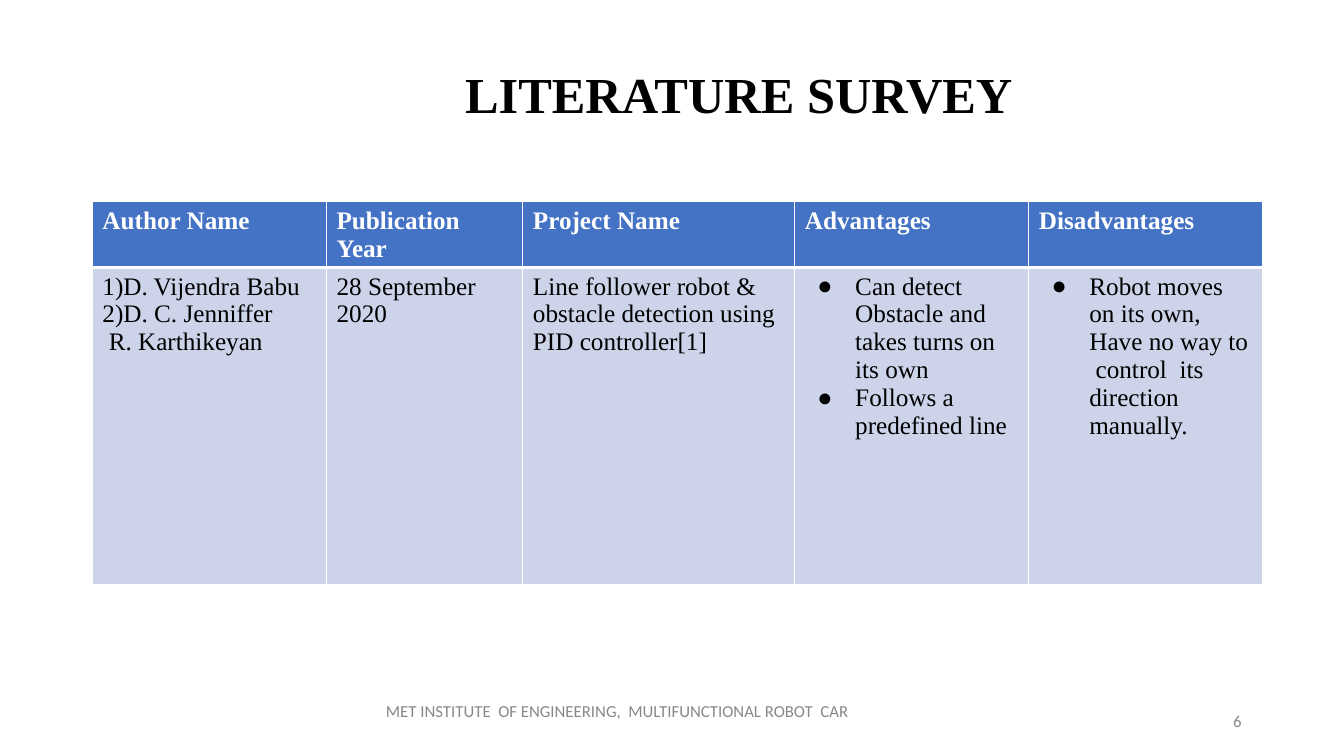
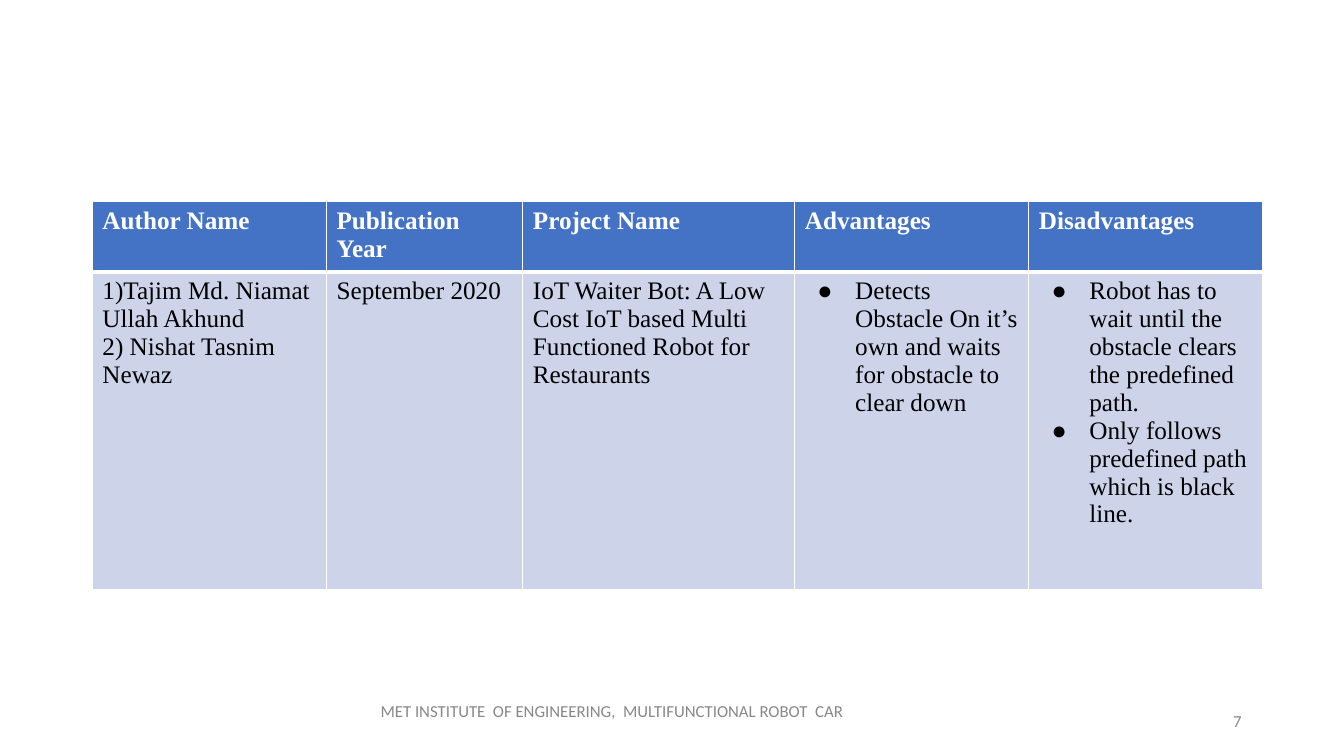
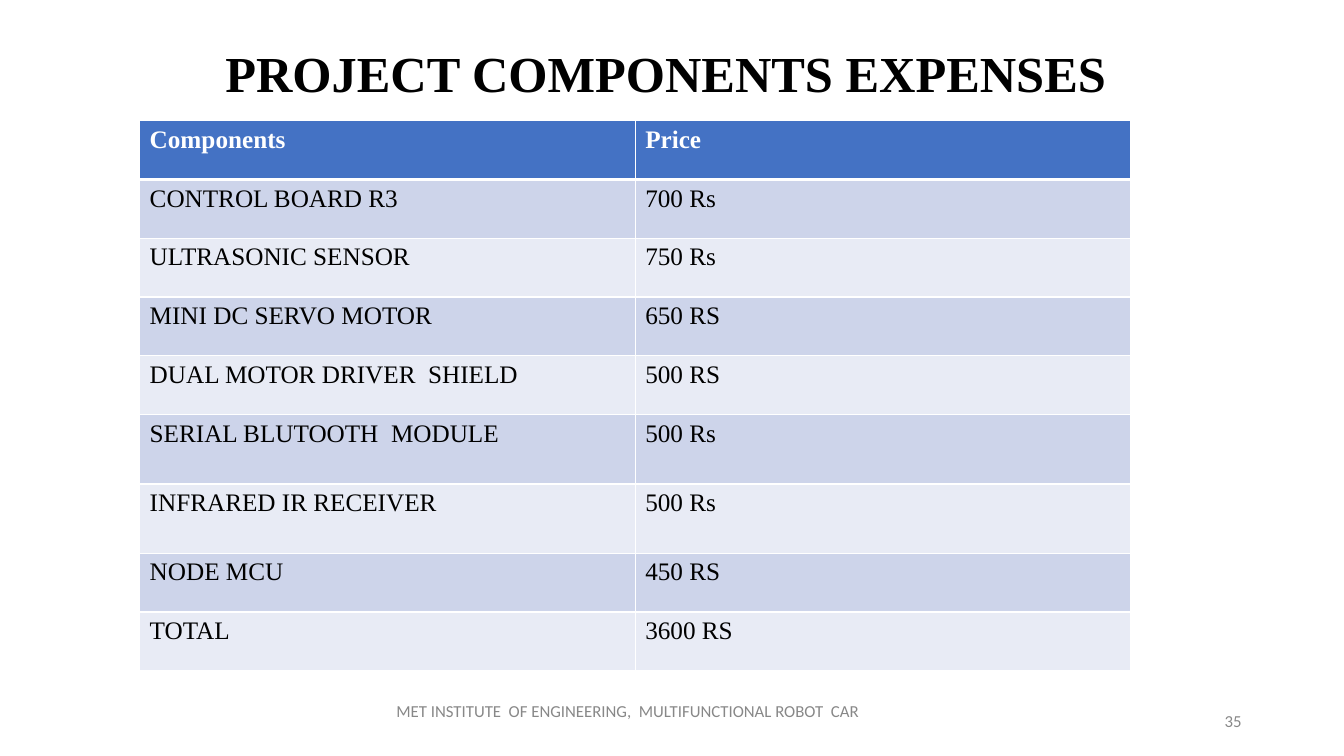
"""Build three project slides: two literature tables and one expense table."""
import dataclasses

import lxml.etree
import pptx
import pptx.dml.color
import pptx.enum.text
import pptx.oxml.ns
import pptx.util

ALIGN = pptx.enum.text.PP_ALIGN
ANCHOR = pptx.enum.text.MSO_ANCHOR
AUTO = pptx.enum.text.MSO_AUTO_SIZE
TITLE_ONLY, BLANK = 5, 6


@dataclasses.dataclass(frozen=True)
class Theme:
    """Hold the colours, fonts and type sizes of the deck."""
    ink: str = "000000"
    white: str = "FFFFFF"
    muted: str = "888888"
    header: str = "4472C4"
    bands: tuple = ("CDD4EA", "E8EBF5")
    serif: str = "Times New Roman"
    sans: str = "Calibri"
    title_pt: int = 36
    body_pt: int = 18
    small_pt: int = 12
    rule_pt: int = 1
    header_rule_pt: int = 3


T = Theme()
TITLE = {"name": T.serif, "size": pptx.util.Pt(T.title_pt), "bold": True}
HEAD = {"name": T.serif, "size": pptx.util.Pt(T.body_pt), "bold": True}
BODY = {"name": T.serif, "size": pptx.util.Pt(T.body_pt), "bold": False}
SMALL = {"name": T.sans, "size": pptx.util.Pt(T.small_pt), "bold": False}

FOOTER = "MET INSTITUTE  OF ENGINEERING,  MULTIFUNCTIONAL ROBOT  CAR"
SURVEY_HEAD = ["Author Name", "Publication Year", "Project Name",
               "Advantages", "Disadvantages"]
SURVEY_BOX = (88, 192)
SURVEY_COLS = [223, 187, 259, 223, 223]
SURVEY_ROWS = [62, 302]
BULLET_COLS = (3, 4)
EXPENSE_BOX = (133, 115)
EXPENSE_COLS = [472, 472]
EXPENSE_ROWS = [56] * 5 + [66] * 2 + [56] * 2
EXPENSES = [
    ["Components", "Price"],
    ["CONTROL BOARD R3", "700 Rs"],
    ["ULTRASONIC SENSOR", "750 Rs"],
    ["MINI DC SERVO MOTOR", "650 RS"],
    ["DUAL MOTOR DRIVER  SHIELD", "500 RS"],
    ["SERIAL BLUTOOTH  MODULE", "500 Rs"],
    ["INFRARED IR RECEIVER", "500 Rs"],
    ["NODE MCU", "450 RS"],
    ["TOTAL", "3600 RS"],
]


def px(n):
    """Turn whole pixels into EMU."""
    return pptx.util.Emu(n * 9525)


def rgb(value):
    """Turn a hex string into a colour."""
    return pptx.dml.color.RGBColor.from_string(value)


def sub(parent, tag, **attrs):
    """Add a DrawingML child element with the given attributes."""
    el = lxml.etree.SubElement(parent, pptx.oxml.ns.qn(tag))
    for key, value in attrs.items():
        el.set(key, str(value))
    return el


def add_run(p, text, style, color):
    """Add one formatted run to a paragraph."""
    r = p.add_run()
    r.text = text
    for key, value in style.items():
        setattr(r.font, key, value)
    r.font.color.rgb = rgb(color)


def indent(p, left, first=0):
    """Set the left and first-line indents of a paragraph."""
    pPr = p._p.get_or_add_pPr()
    pPr.set("marL", str(px(left)))
    pPr.set("indent", str(px(first)))
    return pPr


def bullet(p):
    """Give a paragraph a round hanging bullet."""
    pPr = indent(p, 48, -36)
    sub(sub(pPr, "a:buClr"), "a:srgbClr", val=T.ink)
    sub(pPr, "a:buFont", typeface=T.serif)
    sub(pPr, "a:buChar", char="●")


def add_title(s, text, box, align, inset=10):
    """Place and format the title placeholder."""
    sp = s.shapes.title
    sp.left, sp.top, sp.width, sp.height = map(px, box)
    tf = sp.text_frame
    for key, value in {"auto_size": AUTO.NONE, "word_wrap": True,
                       "vertical_anchor": ANCHOR.MIDDLE,
                       "margin_left": px(inset)}.items():
        setattr(tf, key, value)
    p = tf.paragraphs[0]
    p.alignment, p.line_spacing = align, 0.9
    add_run(p, text, TITLE, T.ink)


def add_small(s, text, box, align, **frame):
    """Add one line of small grey text."""
    tf = s.shapes.add_textbox(*map(px, box)).text_frame
    for key, value in {"word_wrap": True, **frame}.items():
        setattr(tf, key, value)
    p = tf.paragraphs[0]
    p.alignment = align
    add_run(p, text, SMALL, T.muted)


def add_footer(s, left, number):
    """Add the institute line and the slide number."""
    add_small(s, FOOTER, (left, 667, 536, 38), ALIGN.CENTER,
              vertical_anchor=ANCHOR.TOP, margin_top=0)
    add_small(s, str(number), (904, 667, 288, 38), ALIGN.RIGHT,
              vertical_anchor=ANCHOR.MIDDLE)


def set_borders(cell, row):
    """Draw white cell borders, thicker beneath the header row."""
    thick = {0: "B", 1: "T"}.get(row)
    tcPr = cell._tc.get_or_add_tcPr()
    for side in "LRTB":
        width = T.header_rule_pt if side == thick else T.rule_pt
        ln = sub(tcPr, "a:ln" + side, w=pptx.util.Pt(width))
        sub(sub(ln, "a:solidFill"), "a:srgbClr", val=T.white)


def fill_cell(cell, content, row, bulleted):
    """Write the paragraphs of a cell and colour it by row."""
    lines = [content] if isinstance(content, str) else content
    tf = cell.text_frame
    for i, line in enumerate(lines):
        p = tf.paragraphs[0] if i == 0 else tf.add_paragraph()
        if bulleted:
            bullet(p)
        elif line.startswith("R. "):
            indent(p, 6)
        add_run(p, line, BODY if row else HEAD, T.ink if row else T.white)
    set_borders(cell, row)
    cell.fill.solid()
    cell.fill.fore_color.rgb = rgb(T.bands[(row - 1) % 2] if row else T.header)


def add_grid(s, origin, cols, rows, data, bullet_cols=()):
    """Add a table with a header row and banded body rows."""
    box = (*origin, sum(cols), sum(rows))
    tbl = s.shapes.add_table(len(rows), len(cols), *map(px, box)).table
    for col, width in zip(tbl.columns, cols):
        col.width = px(width)
    for i, (height, values) in enumerate(zip(rows, data)):
        tbl.rows[i].height = px(height)
        for j, content in enumerate(values):
            fill_cell(tbl.cell(i, j), content, i, i > 0 and j in bullet_cols)


def survey_slide(prs, entry, footer_left, number, title=None):
    """Build a literature slide, with a title if one is given."""
    s = prs.slides.add_slide(prs.slide_layouts[TITLE_ONLY if title else BLANK])
    if title:
        add_title(s, title, (88, 36, 1104, 114), ALIGN.LEFT, 355)
    add_grid(s, SURVEY_BOX, SURVEY_COLS, SURVEY_ROWS,
             [SURVEY_HEAD, entry], BULLET_COLS)
    add_footer(s, footer_left, number)


def expenses_slide(prs, footer_left, number):
    """Build the slide that lists component prices."""
    s = prs.slides.add_slide(prs.slide_layouts[TITLE_ONLY])
    add_title(s, "PROJECT COMPONENTS EXPENSES", (82, 0, 1104, 146), ALIGN.CENTER)
    add_grid(s, EXPENSE_BOX, EXPENSE_COLS, EXPENSE_ROWS, EXPENSES)
    add_footer(s, footer_left, number)


def main():
    """Build and save the deck."""
    prs = pptx.Presentation()
    prs.slide_width, prs.slide_height = px(1280), px(720)
    survey_slide(prs, [
        ["1)D. Vijendra Babu 2)D. C. Jenniffer", "R. Karthikeyan"],
        "28 September 2020",
        "Line follower robot & obstacle detection using PID controller[1]",
        ["Can detect Obstacle and takes turns on its own",
         "Follows a predefined line"],
        "Robot moves on its own, Have no way to  control  its direction manually.",
    ], 320, 6, "LITERATURE SURVEY")
    survey_slide(prs, [
        ["1)Tajim Md. Niamat Ullah Akhund", "2) Nishat Tasnim Newaz"],
        "September 2020",
        "IoT Waiter Bot: A Low Cost IoT based Multi Functioned Robot for Restaurants",
        "Detects Obstacle On it’s own and waits for obstacle to clear down",
        ["Robot has to wait until the obstacle clears the predefined path.",
         "Only follows predefined path which is black line."],
    ], 315, 7)
    expenses_slide(prs, 330, 35)
    prs.save("out.pptx")


if __name__ == "__main__":
    main()
